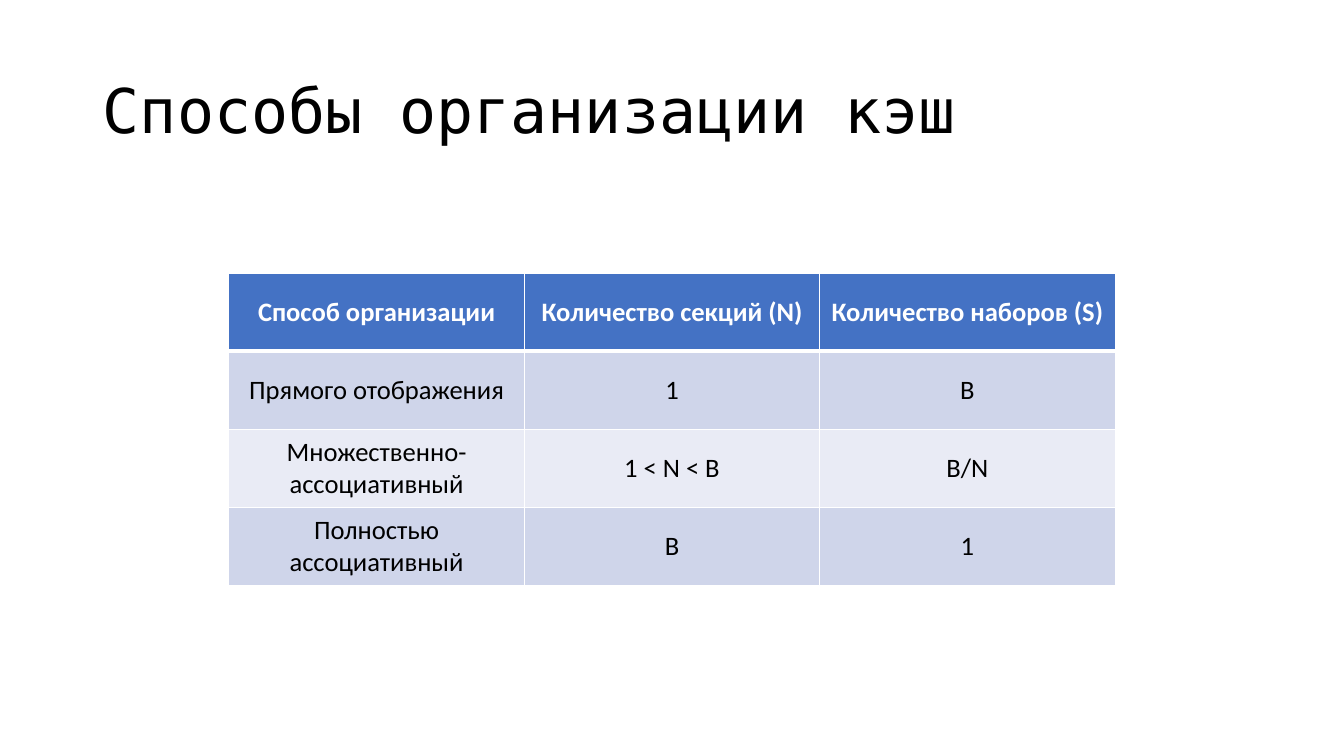
from lxml.etree import SubElement
from pptx import Presentation
from pptx.dml.color import RGBColor
from pptx.enum.text import MSO_ANCHOR, MSO_AUTO_SIZE, PP_ALIGN
from pptx.oxml.ns import qn
from pptx.util import Inches, Pt

WHITE = RGBColor(0xFF, 0xFF, 0xFF)
BLACK = RGBColor(0x00, 0x00, 0x00)
HEADER_BLUE = RGBColor(0x44, 0x72, 0xC4)
BAND_DARK = RGBColor(0xCF, 0xD5, 0xEA)
BAND_LIGHT = RGBColor(0xE9, 0xEB, 0xF5)

CACHE_TYPES = [
    ("Способ организации", "Количество секций (N)", "Количество наборов (S)"),
    ("Прямого отображения", "1", "B"),
    ("Множественно-ассоциативный", "1 < N < B", "B/N"),
    ("Полностью ассоциативный", "B", "1"),
]
CELL_FORMAT = {
    "vertical_anchor": MSO_ANCHOR.MIDDLE,
    "margin_left": Inches(0.07),
    "margin_right": Inches(0.07),
    "margin_top": Inches(0.04),
    "margin_bottom": Inches(0.04),
}


def set_format(target, values):
    for name, value in values.items():
        setattr(target, name, value)


def set_font(font, color, **values):
    set_format(font, values)
    font.color.rgb = color


def add_borders(cell, widths):
    """Draw white cell borders; widths maps a side (L, R, T, B) to points."""
    properties = cell._tc.get_or_add_tcPr()
    for side, width in widths.items():
        line = SubElement(properties, qn(f"a:ln{side}"), w=str(Pt(width)))
        fill = SubElement(line, qn("a:solidFill"))
        SubElement(fill, qn("a:srgbClr"), val=str(WHITE))


def place_title(slide, left, top, width, height):
    title = slide.shapes.title
    set_format(title, {"left": left, "top": top, "width": width, "height": height})
    frame = title.text_frame
    set_format(frame, {"word_wrap": True, "auto_size": MSO_AUTO_SIZE.NONE,
                       "vertical_anchor": MSO_ANCHOR.MIDDLE})
    heading = frame.paragraphs[0]
    heading.text = "Способы организации кэш"
    set_format(heading, {"alignment": PP_ALIGN.LEFT, "line_spacing": 0.9})
    set_font(heading.runs[0].font, BLACK, name="DejaVu Sans Mono", size=Pt(44))


def place_cache_table(slide, left, top, width, height):
    rows, columns = len(CACHE_TYPES), len(CACHE_TYPES[0])
    table = slide.shapes.add_table(rows, columns, left, top, width, height).table
    for row, values in enumerate(CACHE_TYPES):
        is_header = row == 0
        band = HEADER_BLUE if is_header else BAND_DARK if row % 2 else BAND_LIGHT
        # A thicker rule separates the header from the body
        borders = {"L": 1, "R": 1, "T": 3 if row == 1 else 1, "B": 3 if is_header else 1}
        for column, value in enumerate(values):
            cell = table.cell(row, column)
            set_format(cell, CELL_FORMAT)
            add_borders(cell, borders)
            cell.fill.solid()
            cell.fill.fore_color.rgb = band
            entry = cell.text_frame.paragraphs[0]
            entry.text = value
            entry.alignment = PP_ALIGN.CENTER
            set_font(entry.runs[0].font, WHITE if is_header else BLACK,
                     name="Calibri", size=Pt(19), bold=is_header)


def main():
    presentation = Presentation()
    set_format(presentation, {"slide_width": Inches(13.33), "slide_height": Inches(7.5)})
    title_only = presentation.slide_layouts[5]
    slide = presentation.slides.add_slide(title_only)
    # Table of cache organisations, then the heading
    place_cache_table(slide, Inches(2.27), Inches(2.71), Inches(8.79), Inches(3.1))
    place_title(slide, Inches(0.92), Inches(0.4), Inches(11.5), Inches(1.45))
    presentation.save("out.pptx")


if __name__ == "__main__":
    main()
